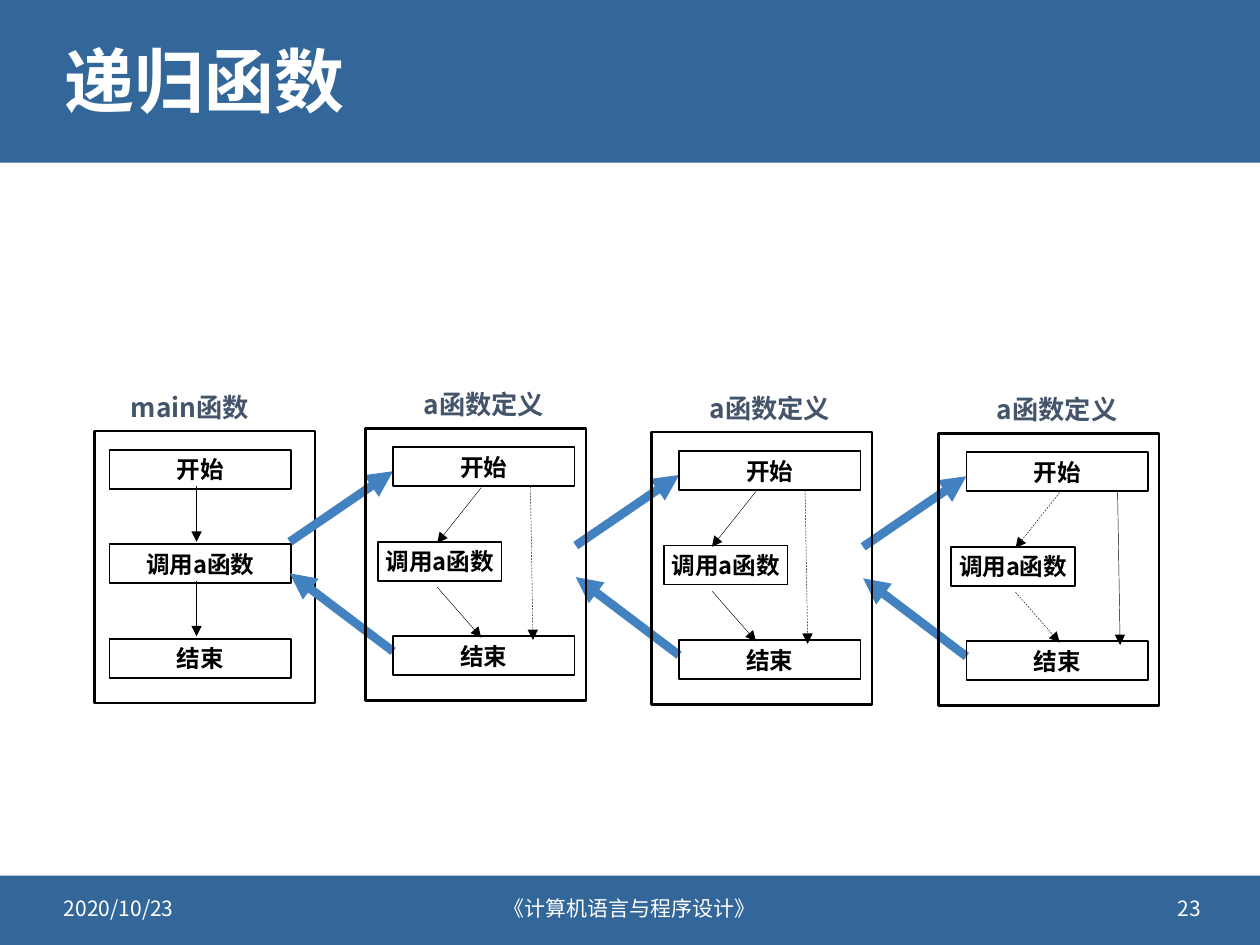
from dataclasses import dataclass

from pptx import Presentation
from pptx import util as u
from pptx.dml.color import RGBColor
from pptx.enum import dml, shapes, text
from pptx.oxml import ns
from lxml import etree


@dataclass(frozen=True)
class Theme:
    font: str = "Noto Sans CJK SC"
    band: str = "336699"
    white: str = "FFFFFF"
    ink: str = "000000"
    label: str = "44546A"
    jump: str = "4382C1"
    title_size: float = 40
    label_size: float = 15
    step_size: float = 13.5
    footer_size: float = 12
    frame_line: float = 1.5
    step_line: float = 1
    flow_line: float = 0.25
    jump_line: float = 5


THEME = Theme()
ALIGN = text.PP_ALIGN
STEP_WIDTH, STEP_HEIGHT = 1.44, 0.31
STEP_TOPS = (0.15, 0.9, 1.65)  # start, call and end, below the frame top
FRAME_SIZE = (1.75, 2.16)


def inches(*values):
    return [u.Inches(value) for value in values]


def write(shape, words, size, color, bold=False, align=ALIGN.LEFT, wrap=True, spacing=None):
    frame = shape.text_frame
    frame.word_wrap = wrap
    frame.auto_size = text.MSO_AUTO_SIZE.NONE
    frame.vertical_anchor = text.MSO_ANCHOR.MIDDLE
    para = frame.paragraphs[0]
    para.alignment = align
    if spacing:
        para.line_spacing = spacing
    span = para.add_run()
    span.text = words
    span.font.size = u.Pt(size)
    span.font.bold = bold
    span.font.name = THEME.font
    span.font.color.rgb = RGBColor.from_string(color)
    east_asian = etree.SubElement(span.font._element, ns.qn("a:ea"))
    east_asian.set("typeface", THEME.font)


def add_text(parts, box, words, size, color, **style):
    write(parts.add_textbox(*inches(*box)), words, size, color, **style)


def add_outline(parts, box, width):
    shape = parts.add_shape(shapes.MSO_SHAPE.RECTANGLE, *inches(*box))
    shape.shadow.inherit = False
    shape.fill.background()
    shape.line.color.rgb = RGBColor.from_string(THEME.ink)
    shape.line.width = u.Pt(width)
    return shape


def add_step(parts, box, words):
    write(add_outline(parts, box, THEME.step_line), words, THEME.step_size, THEME.ink,
          bold=True, align=ALIGN.CENTER, wrap=False)


def add_arrow(parts, origin, start, end, color=THEME.ink, width=THEME.flow_line, dashed=False):
    """Arrow between two points given relative to the origin."""
    left, top = origin
    line = parts.add_connector(
        shapes.MSO_CONNECTOR.STRAIGHT,
        *inches(left + start[0], top + start[1], left + end[0], top + end[1]))
    line.line.color.rgb = RGBColor.from_string(color)
    line.line.width = u.Pt(width)
    if dashed:
        line.line.dash_style = dml.MSO_LINE.DASH
    tail = etree.SubElement(line.line._get_or_add_ln(), ns.qn("a:tailEnd"))
    tail.set("type", "triangle")
    etree.SubElement(line._element.spPr, ns.qn("a:effectLst"))


def add_band(page, box):
    """Full-width colour band behind everything else."""
    band = page.shapes.add_shape(shapes.MSO_SHAPE.RECTANGLE, *inches(*box))
    band.shadow.inherit = False
    band.fill.solid()
    band.fill.fore_color.rgb = RGBColor.from_string(THEME.band)
    band.line.fill.background()
    page.shapes._spTree.insert(2, band._element)


def add_header(page, box, words):
    left, top, width, height = box
    add_band(page, box)
    title = page.shapes.title
    title.left, title.top, title.width, title.height = inches(
        left + 0.41, top + 0.18, width - 0.81, height - 0.3)
    write(title, words, THEME.title_size, THEME.white, bold=True, spacing=0.9)


def add_footer(page, box, date, course, number):
    left, top, width, height = box
    add_band(page, box)
    fields = ((0.41, 2.4, date, ALIGN.LEFT),
              (3.2, 3.6, course, ALIGN.CENTER),
              (7.23, 2.4, number, ALIGN.RIGHT))
    for offset, field_width, words, align in fields:
        add_text(page.shapes, (left + offset, top + 0.06, field_width, 0.4), words,
                 THEME.footer_size, THEME.white, align=align)


def add_function(parts, origin, label, label_x, label_align, step_x, call_x, call_width):
    """Frame with its label and three steps."""
    left, top = origin
    add_outline(parts, (left, top, *FRAME_SIZE), THEME.frame_line)
    add_text(parts, (left + label_x, top - 0.3, STEP_WIDTH, 0.25), label, THEME.label_size,
             THEME.label, bold=True, align=label_align, wrap=False, spacing=0.9)
    steps = (("开始", step_x, STEP_WIDTH),
             ("调用a函数", call_x, call_width),
             ("结束", step_x, STEP_WIDTH))
    for (words, offset, width), step_top in zip(steps, STEP_TOPS):
        add_step(parts, (left + offset, top + step_top, width, STEP_HEIGHT), words)


def add_main(page, origin):
    add_function(page.shapes, origin, "main函数", 0.19, ALIGN.LEFT, 0.12, 0.12, STEP_WIDTH)
    for upper, lower in zip(STEP_TOPS, STEP_TOPS[1:]):
        add_arrow(page.shapes, origin, (0.81, upper + STEP_HEIGHT - 0.02), (0.81, lower - 0.02))


def add_recursion(page, origin, branch_x, skip_x, recurses):
    """One level of a(): the path not taken is dashed."""
    parts = page.shapes.add_group_shape().shapes
    add_function(parts, origin, "a函数定义", 0.22, ALIGN.CENTER, 0.22, 0.1, 0.98)
    call_x = branch_x - 0.35
    add_arrow(parts, origin, (branch_x, 0.47), (call_x, 0.91), dashed=not recurses)
    add_arrow(parts, origin, (call_x, 1.26), (branch_x, 1.66), dashed=not recurses)
    add_arrow(parts, origin, (skip_x, 0.46), (skip_x + 0.02, 1.68), dashed=recurses)


def add_jumps(page, origin):
    """Call into the frame at the origin, and return from it."""
    for start, end in (((-0.6, 0.9), (0.22, 0.34)), ((0.22, 1.77), (-0.6, 1.15))):
        add_arrow(page.shapes, origin, start, end, THEME.jump, THEME.jump_line)


def main():
    deck = Presentation()
    deck.slide_width, deck.slide_height = inches(10, 7.5)
    page = deck.slides.add_slide(deck.slide_layouts[5])

    add_header(page, (0, 0, 10, 1.29), "递归函数")
    add_footer(page, (0, 6.95, 10, 0.55), "2020/10/23", "《计算机语言与程序设计》", "23")

    # Call chain: main, then three levels of a()
    add_main(page, (0.75, 3.42))
    levels = (((2.9, 3.4), 0.92, 1.31, True),
              ((5.17, 3.43), 0.83, 1.22, True),
              ((7.45, 3.44), 0.96, 1.42, False))
    for origin, *_ in levels:
        add_jumps(page, origin)
    for level in levels:
        add_recursion(page, *level)

    deck.save("out.pptx")


if __name__ == "__main__":
    main()
